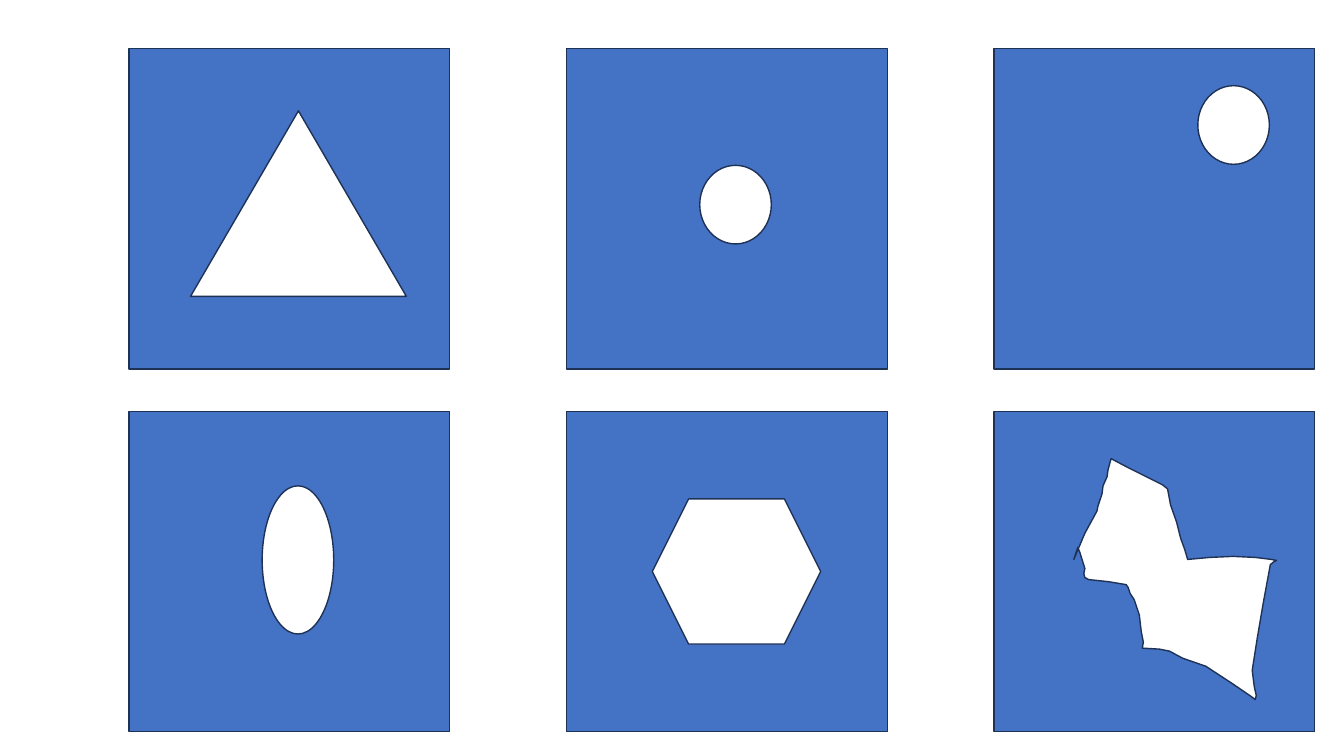
from pptx import Presentation
from pptx.dml.color import RGBColor
from pptx.enum.shapes import MSO_SHAPE
from pptx.util import Pt

PX = 9144
BLUE = RGBColor(0x44, 0x72, 0xC4)
NAVY = RGBColor(0x1E, 0x32, 0x56)
WHITE = RGBColor(0xFF, 0xFF, 0xFF)

deck = Presentation()
for name, size in {"slide_width": 1333, "slide_height": 750}.items():
    setattr(deck, name, size * PX)
slide = deck.slides.add_slide(deck.slide_layouts[6])


def paint(shape, color):
    shape.shadow.inherit = False
    shape.fill.solid()
    shape.fill.fore_color.rgb = color
    shape.line.color.rgb = NAVY
    shape.line.width = Pt(1)


def draw(kind, box, color):
    shape = slide.shapes.add_shape(kind, *[side * PX for side in box])
    paint(shape, color)


SIDE = 318
for top in (48, 408):
    for left in (128, 562, 986):
        draw(MSO_SHAPE.RECTANGLE, (left, top, SIDE, SIDE), BLUE)

holes = [
    (MSO_SHAPE.ISOSCELES_TRIANGLE, (189, 110, 214, 184)),
    (MSO_SHAPE.OVAL, (694, 164, 71, 78)),
    (MSO_SHAPE.OVAL, (1188, 85, 71, 78)),
    (MSO_SHAPE.OVAL, (260, 482, 71, 147)),
    (MSO_SHAPE.HEXAGON, (647, 495, 167, 144)),
]
for kind, box in holes:
    draw(kind, box, WHITE)

rim = [
    (1065, 555), (1076, 529), (1088, 507), (1089, 502), (1093, 490),
    (1094, 482), (1098, 473), (1099, 466), (1102, 455), (1119, 464),
    (1153, 481), (1158, 485), (1161, 501), (1167, 518), (1171, 534),
    (1175, 545), (1178, 555), (1200, 553), (1223, 552), (1245, 553),
    (1261, 555), (1266, 556), (1264, 557), (1260, 560), (1253, 598),
    (1247, 633), (1242, 665), (1244, 681), (1246, 690), (1245, 694),
    (1241, 691), (1222, 678), (1196, 661), (1173, 653), (1160, 646),
    (1150, 644), (1133, 643), (1134, 637), (1132, 627), (1130, 610),
    (1125, 595), (1121, 589), (1119, 583), (1117, 580), (1099, 577),
    (1080, 575), (1076, 573), (1075, 569), (1076, 564), (1071, 548),
    (1069, 543),
]
pen = slide.shapes.build_freeform(*rim[0], scale=PX)
pen.add_line_segments(rim[1:], close=True)
paint(pen.convert_to_shape(), WHITE)

deck.save("out.pptx")
